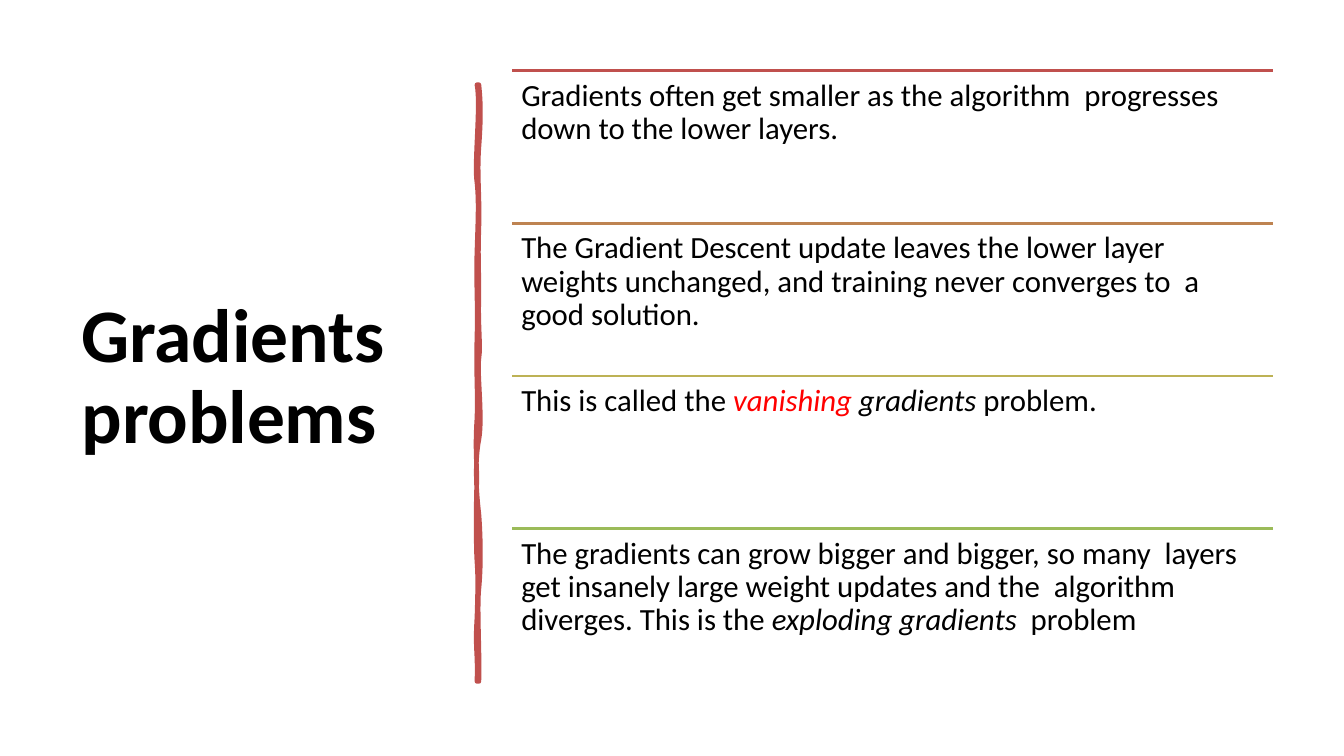
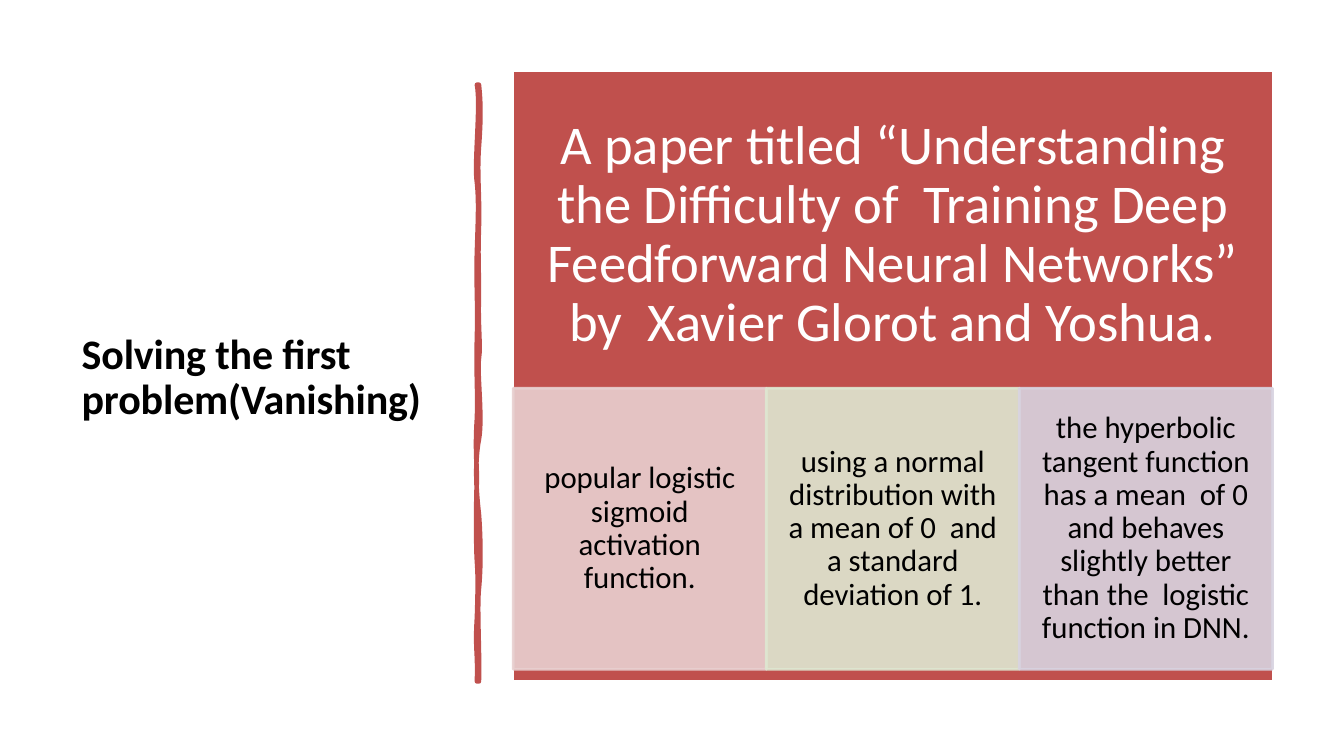
from dataclasses import dataclass

from lxml import etree
from pptx import Presentation
from pptx.dml.color import RGBColor
from pptx.enum.shapes import MSO_CONNECTOR, MSO_SHAPE
from pptx.enum.text import MSO_ANCHOR, PP_ALIGN
from pptx.oxml.ns import qn
from pptx.util import Inches, Pt

RECT, STRAIGHT = MSO_SHAPE.RECTANGLE, MSO_CONNECTOR.STRAIGHT
TOP, MIDDLE = MSO_ANCHOR.TOP, MSO_ANCHOR.MIDDLE
LEFT, CENTER = PP_ALIGN.LEFT, PP_ALIGN.CENTER

FONT = "Calibri"
COLORS = {
    "text": "000000", "white": "FFFFFF", "alert": "FF0000",
    "red": "C0504D", "orange": "BE8351", "olive": "BDB255", "green": "9BBB59",
    "pale_red": "E8D0D0", "pale_green": "DEE7D1", "pale_violet": "D8D3E0",
}
BODY_SIZE = 22
LINE_WIDTH = 2


@dataclass(frozen=True)
class Box:
    x: float
    y: float
    w: float
    h: float

    def cell(self, col: int, row: int, cols: int, rows: int) -> "Box":
        w, h = self.w / cols, self.h / rows
        return Box(self.x + col * w, self.y + row * h, w, h)

    def emu(self) -> list:
        return [Inches(v) for v in (self.x, self.y, self.w, self.h)]


@dataclass(frozen=True)
class Run:
    text: str
    italic: bool = False
    color: str = "text"


@dataclass(frozen=True)
class Point:
    """A ruled statement on the right of the slide."""
    color: str
    runs: tuple[Run, ...]


@dataclass(frozen=True)
class Tile:
    """A tinted cell under the heading of a panel."""
    color: str
    text: str


# Shared grid
SLIDE_W, SLIDE_H = 13.33, 7.5
TITLE = Box(0.69, 0.7, 3.74, 6.11)
PANEL = Box(5.08, 0.7, 7.55, 6.06)
TILE_TOP, TILE_SHARE, TILE_INSET = 0.52, 0.46, 0.01

# Hand-drawn divider: cubic segments (two controls and an end), from its top
DIVIDER_START = (4.75, 0.84)
DIVIDER = (
    (4.77, 1.02, 4.77, 1.19, 4.75, 1.46), (4.73, 1.73, 4.76, 1.95, 4.75, 2.26),
    (4.74, 2.57, 4.75, 2.62, 4.75, 2.94), (4.74, 3.25, 4.77, 3.42, 4.75, 3.56),
    (4.73, 3.7, 4.79, 4.14, 4.75, 4.36), (4.71, 4.57, 4.72, 4.84, 4.75, 5.1),
    (4.77, 5.36, 4.77, 5.64, 4.75, 5.84), (4.73, 6.03, 4.76, 6.5, 4.75, 6.76),
    (4.74, 6.76, 4.73, 6.76, 4.73, 6.76), (4.74, 6.46, 4.71, 6.44, 4.73, 6.13),
    (4.74, 5.83, 4.74, 5.7, 4.73, 5.57), (4.72, 5.44, 4.72, 4.95, 4.73, 4.77),
    (4.73, 4.59, 4.71, 4.45, 4.73, 4.15), (4.74, 3.86, 4.72, 3.73, 4.73, 3.35),
    (4.74, 2.98, 4.72, 2.81, 4.73, 2.5), (4.74, 2.18, 4.75, 2, 4.73, 1.81),
    (4.7, 1.63, 4.77, 1.04, 4.73, 0.84), (4.74, 0.84, 4.74, 0.84, 4.75, 0.84),
)
UNITS = 1000  # freeform units per inch

POINTS = (
    Point("red", (Run("Gradients often get smaller as the algorithm  progresses "
                      "down to the lower layers."),)),
    Point("orange", (Run("The Gradient Descent update leaves the lower layer  weights "
                         "unchanged, and training never converges to  a good solution."),)),
    Point("olive", (Run("This is called the "), Run("vanishing", True, "alert"),
                    Run(" gradients ", True), Run("problem."))),
    Point("green", (Run("The gradients can grow bigger and bigger, so many  layers get "
                        "insanely large weight updates and the  algorithm diverges. "
                        "This is the "),
                    Run("exploding gradients  ", True), Run("problem"))),
)
PAPER = Run("A paper titled “Understanding the Difficulty of  Training Deep Feedforward "
            "Neural Networks” by  Xavier Glorot and Yoshua.", color="white")
TILES = (
    Tile("pale_red", "popular logistic sigmoid activation function."),
    Tile("pale_green", "using a normal distribution with a mean of 0  and a standard "
                       "deviation of 1."),
    Tile("pale_violet", "the hyperbolic tangent function has a mean  of 0 and behaves "
                        "slightly better than the  logistic function in DNN."),
)


def rgb(name: str) -> RGBColor:
    return RGBColor.from_string(COLORS[name])


def write(tf, runs: tuple[Run, ...], size: float, insets: tuple, anchor=TOP,
          align=LEFT, bold: bool = False, spacing: int = 0) -> None:
    """Fill a text frame with one paragraph, run by run."""
    tf.word_wrap = True
    tf.vertical_anchor = anchor
    tf.margin_left, tf.margin_top, tf.margin_right, tf.margin_bottom = map(Inches, insets)
    p = tf.paragraphs[0]
    p.alignment = align
    p.line_spacing = 0.9
    for run in runs:
        r = p.add_run()
        r.text = run.text
        r.font.name, r.font.size = FONT, Pt(size)
        r.font.bold, r.font.italic = bold, run.italic
        r.font.color.rgb = rgb(run.color)
        if spacing:
            r.font._element.set("spc", str(spacing))


def paint(sp, fill: str, line: str, width: float, opacity: int = 100) -> None:
    sp.shadow.inherit = False
    sp.fill.solid()
    sp.fill.fore_color.rgb = rgb(fill)
    sp.line.color.rgb = rgb(line)
    sp.line.width = Pt(width)
    if opacity < 100:
        for clr in sp._element.spPr.iter(qn("a:srgbClr")):
            etree.SubElement(clr, qn("a:alpha")).set("val", str(opacity * 1000))


def add_rect(s, box: Box, fill: str, line: str, opacity: int = 100):
    sp = s.shapes.add_shape(RECT, *box.emu())
    paint(sp, fill, line, LINE_WIDTH, opacity)
    return sp


def add_rule(s, box: Box, color: str) -> None:
    """Draw a line along the top of a box."""
    x, y, w, _ = box.emu()
    line = s.shapes.add_connector(STRAIGHT, x, y, x + w, y)
    line.line.color.rgb = rgb(color)
    line.line.width = Pt(LINE_WIDTH)
    etree.SubElement(line._element.spPr, qn("a:effectLst"))


def add_divider(s) -> None:
    """Draw the closed outline, turning each three vertices into one cubic curve."""
    x, y = DIVIDER_START
    builder = s.shapes.build_freeform(x * UNITS, y * UNITS, scale=Inches(1) / UNITS)
    builder.add_line_segments([(seg[i] * UNITS, seg[i + 1] * UNITS)
                               for seg in DIVIDER for i in (0, 2, 4)], close=True)
    sp = builder.convert_to_shape()
    lines = list(sp._element.spPr.iter(qn("a:lnTo")))
    for i in range(0, len(lines), 3):
        curve = etree.Element(qn("a:cubicBezTo"))
        lines[i].addprevious(curve)
        for line in lines[i:i + 3]:
            curve.append(line[0])
            line.getparent().remove(line)
    paint(sp, "red", "red", 3.25)


def add_titled_slide(prs, title: str, size: float):
    """Add a slide with the title on the left and the divider."""
    s = prs.slides.add_slide(prs.slide_layouts[6])
    tb = s.shapes.add_textbox(*TITLE.emu())
    write(tb.text_frame, (Run(title),), size, (0.12, 0.05, 0.1, 0.05),
          MIDDLE, bold=True, spacing=-10)
    add_divider(s)
    return s


def add_problems(prs) -> None:
    s = add_titled_slide(prs, "Gradients problems", 54)
    for row, point in enumerate(POINTS):
        box = PANEL.cell(0, row, 1, len(POINTS))
        add_rule(s, box, point.color)
        tb = s.shapes.add_textbox(*box.emu())
        write(tb.text_frame, point.runs, BODY_SIZE, (0.09,) * 4)


def add_solution(prs) -> None:
    s = add_titled_slide(prs, "Solving the first problem(Vanishing)", 30)
    # Panel with its heading above the tiles
    panel = add_rect(s, PANEL, "red", "white")
    tiles_h = PANEL.h * TILE_SHARE
    write(panel.text_frame, (PAPER,), 39, (0.3, 0.3, 0.3, 0.3 + tiles_h), MIDDLE, CENTER)
    # Row of tiles
    strip = Box(PANEL.x + TILE_INSET, PANEL.y + PANEL.h * TILE_TOP,
                PANEL.w - 2 * TILE_INSET, tiles_h)
    for col, tile in enumerate(TILES):
        sp = add_rect(s, strip.cell(col, 0, len(TILES), 1), tile.color, tile.color, 90)
        write(sp.text_frame, (Run(tile.text),), BODY_SIZE, (0.17, 0.03, 0.17, 0.03),
              MIDDLE, CENTER)


def main() -> None:
    prs = Presentation()
    prs.slide_width, prs.slide_height = Inches(SLIDE_W), Inches(SLIDE_H)
    add_problems(prs)
    add_solution(prs)
    prs.save("out.pptx")


if __name__ == "__main__":
    main()
